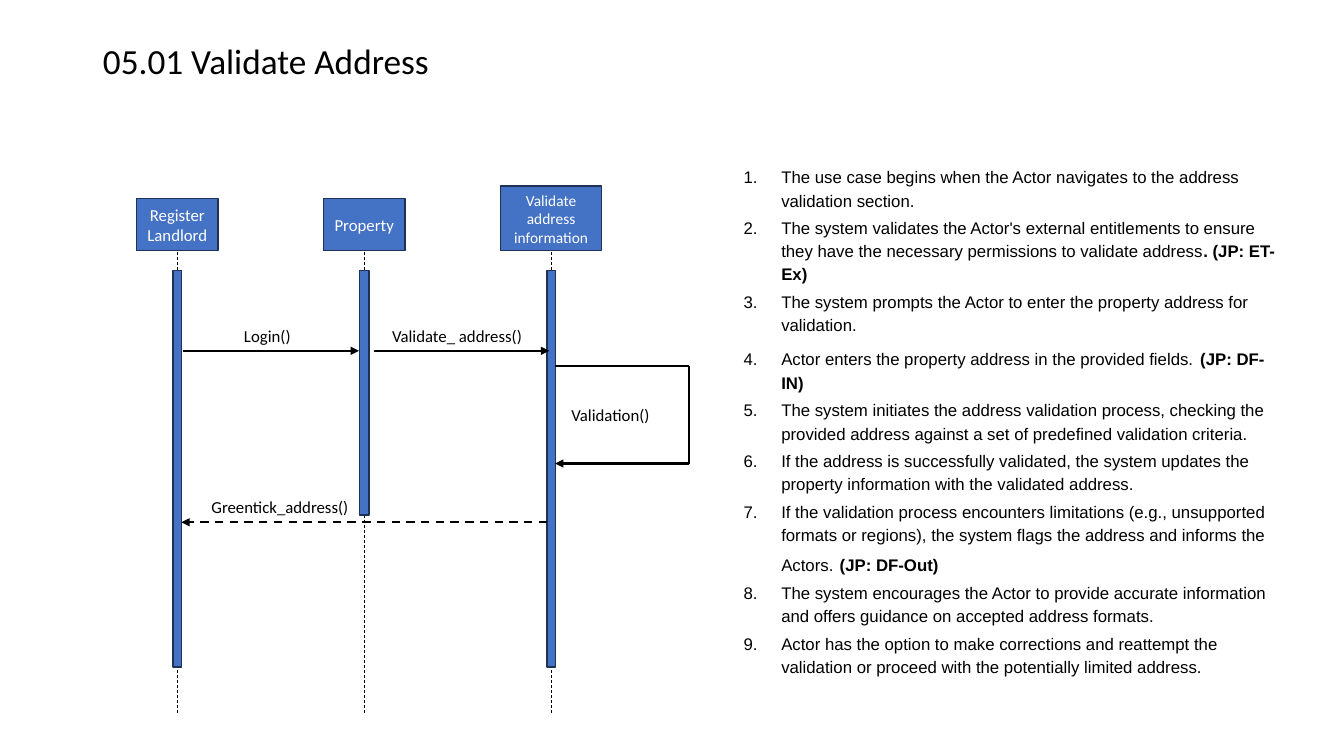
from dataclasses import dataclass

from lxml import etree
from pptx import Presentation
from pptx.dml.color import RGBColor
from pptx.enum.dml import MSO_LINE
from pptx.enum.shapes import MSO_CONNECTOR, MSO_SHAPE
from pptx.enum.text import MSO_ANCHOR, PP_ALIGN
from pptx.oxml.ns import qn
from pptx.util import Cm, Pt


@dataclass(frozen=True)
class Theme:
    text: RGBColor = RGBColor(0x00, 0x00, 0x00)
    box_text: RGBColor = RGBColor(0xFF, 0xFF, 0xFF)
    box_fill: RGBColor = RGBColor(0x44, 0x72, 0xC4)
    box_line: RGBColor = RGBColor(0x1E, 0x32, 0x56)
    diagram_font: str = "Calibri"
    steps_font: str = "Arial"
    title_size: float = 25.2
    body_size: float = 12
    small_size: float = 11
    gap_size: float = 16


theme = Theme()


def add_run(paragraph, text, size=theme.body_size, color=theme.text,
            font=theme.diagram_font, bold=False):
    run = paragraph.add_run()
    run.text = text
    run.font.size = Pt(size)
    run.font.name = font
    run.font.bold = bold
    run.font.color.rgb = color


def add_line(start, end, width=1.5, dashed=False, arrow=False):
    connector = slide.shapes.add_connector(
        MSO_CONNECTOR.STRAIGHT, *(Cm(value) for value in (*start, *end)))
    connector.line.color.rgb = theme.text
    connector.line.width = Pt(width)
    if dashed:
        connector.line.dash_style = MSO_LINE.DASH
    properties = connector._element.spPr
    if arrow:
        etree.SubElement(properties.find(qn("a:ln")), qn("a:tailEnd"), type="triangle")
    etree.SubElement(properties, qn("a:effectLst"))


presentation = Presentation()
presentation.slide_width = Cm(33.87)
presentation.slide_height = Cm(19.05)
slide = presentation.slides.add_slide(presentation.slide_layouts[5])

# Title
title = slide.shapes.title
title.left, title.top, title.width, title.height = Cm(2.34), Cm(1.02), Cm(10.16), Cm(1.12)
title.text_frame.vertical_anchor = MSO_ANCHOR.MIDDLE
paragraph = title.text_frame.paragraphs[0]
paragraph.alignment = PP_ALIGN.LEFT
paragraph.line_spacing = 0.9
add_run(paragraph, "05.01 Validate Address", theme.title_size)

# Numbered steps: plain text and the bold tag after it, with a wide gap if needed
steps = [
    ("The use case begins when the Actor navigates to the address validation section.", "", ""),
    ("The system validates the Actor's external entitlements to ensure they have the "
     "necessary permissions to validate address", "", ". (JP: ET-Ex)"),
    ("The system prompts the Actor to enter the property address for validation.", "", ""),
    ("Actor enters the property address in the provided fields.", " ", "(JP: DF-IN)"),
    ("The system initiates the address validation process, checking the provided address "
     "against a set of predefined validation criteria.", "", ""),
    ("If the address is successfully validated, the system updates the property "
     "information with the validated address.", "", ""),
    ("If the validation process encounters limitations (e.g., unsupported formats or "
     "regions), the system flags the address and informs the Actors.", " ", "(JP: DF-Out)"),
    ("The system encourages the Actor to provide accurate information and offers guidance "
     "on accepted address formats.", "", ""),
    ("Actor has the option to make corrections and reattempt the validation or proceed "
     "with the potentially limited address.", "", ""),
]
steps_box = slide.shapes.add_textbox(Cm(18.49), Cm(4.01), Cm(14), Cm(13.26))
steps_frame = steps_box.text_frame
steps_frame.word_wrap = True
for index, (text, gap, tag) in enumerate(steps):
    paragraph = steps_frame.add_paragraph() if index else steps_frame.paragraphs[0]
    paragraph_format = paragraph._p.get_or_add_pPr()
    paragraph_format.set("marL", str(Cm(0.95)))
    paragraph_format.set("indent", str(Cm(-0.95)))
    etree.SubElement(paragraph_format, qn("a:buFont"), typeface="+mj-lt")
    etree.SubElement(paragraph_format, qn("a:buAutoNum"), type="arabicPeriod")
    paragraph.line_spacing = 1.15
    paragraph.space_after = Pt(3)
    add_run(paragraph, text, font=theme.steps_font)
    if gap:
        add_run(paragraph, gap, theme.gap_size, font=theme.steps_font, bold=True)
    if tag:
        add_run(paragraph, tag, font=theme.steps_font, bold=True)

# Participants: head, lifeline and activation bar
head_bottom, bar_top, lifeline_bottom = 6.32, 6.81, 17.96
landlord_x, property_x, validate_x = (4.47 + 4.71 * column for column in range(3))
participants = [
    (landlord_x, ["Register Landlord"], theme.body_size, 2.06, 1.32, 0.21, 16.81),
    (property_x, ["Property"], theme.body_size, 2.06, 1.32, 0.24, 12.98),
    (validate_x, ["Validate address", "information"], theme.small_size, 2.54, 1.63, 0.21, 16.81),
]
for x, name, size, head_width, head_height, bar_width, bar_bottom in participants:
    add_line((x, bar_top), (x, head_bottom - 0.66), 0.5, dashed=True)
    add_line((x, lifeline_bottom), (x, bar_bottom), 0.5, dashed=True)
    for width, top, height, lines in (
        (head_width, head_bottom - head_height, head_height, name),
        (bar_width, bar_top, bar_bottom - bar_top, []),
    ):
        box = slide.shapes.add_shape(
            MSO_SHAPE.RECTANGLE, Cm(x - width / 2), Cm(top), Cm(width), Cm(height))
        box.shadow.inherit = False
        box.fill.solid()
        box.fill.fore_color.rgb = theme.box_fill
        box.line.color.rgb = theme.box_line
        box.line.width = Pt(1)
        box.text_frame.vertical_anchor = MSO_ANCHOR.MIDDLE
        for index, line in enumerate(lines):
            paragraph = box.text_frame.add_paragraph() if index else box.text_frame.paragraphs[0]
            paragraph.alignment = PP_ALIGN.CENTER
            add_run(paragraph, line, size, theme.box_text)

# Messages
call_y, reply_y = 8.84, 13.16
add_line((landlord_x + 0.15, call_y), (property_x - 0.13, call_y), arrow=True)
add_line((property_x + 0.24, call_y), (validate_x - 0.05, call_y), arrow=True)
add_line((validate_x - 0.1, reply_y), (landlord_x + 0.1, reply_y), dashed=True, arrow=True)

# Self call
loop_left, loop_right, loop_top, loop_bottom = validate_x + 0.1, 17.37, 9.22, 11.68
add_line((loop_left, loop_top), (loop_right, loop_top))
add_line((loop_right, loop_top), (loop_right, loop_bottom))
add_line((loop_right, loop_bottom), (loop_left, loop_bottom), arrow=True)

# Message labels
label_height = 0.76
for text, left, top, width in (
    ("Login()", 5.9, call_y - label_height, 1.75),
    ("Validate_ address()", 9.63, call_y - label_height, 3.85),
    ("Greentick_address()", 5.08, reply_y - label_height, 4.11),
    ("Validation()", 14.15, 10.08, 2.59),
):
    label = slide.shapes.add_textbox(Cm(left), Cm(top), Cm(width), Cm(label_height))
    label.text_frame.word_wrap = True
    add_run(label.text_frame.paragraphs[0], text)

presentation.save("out.pptx")
